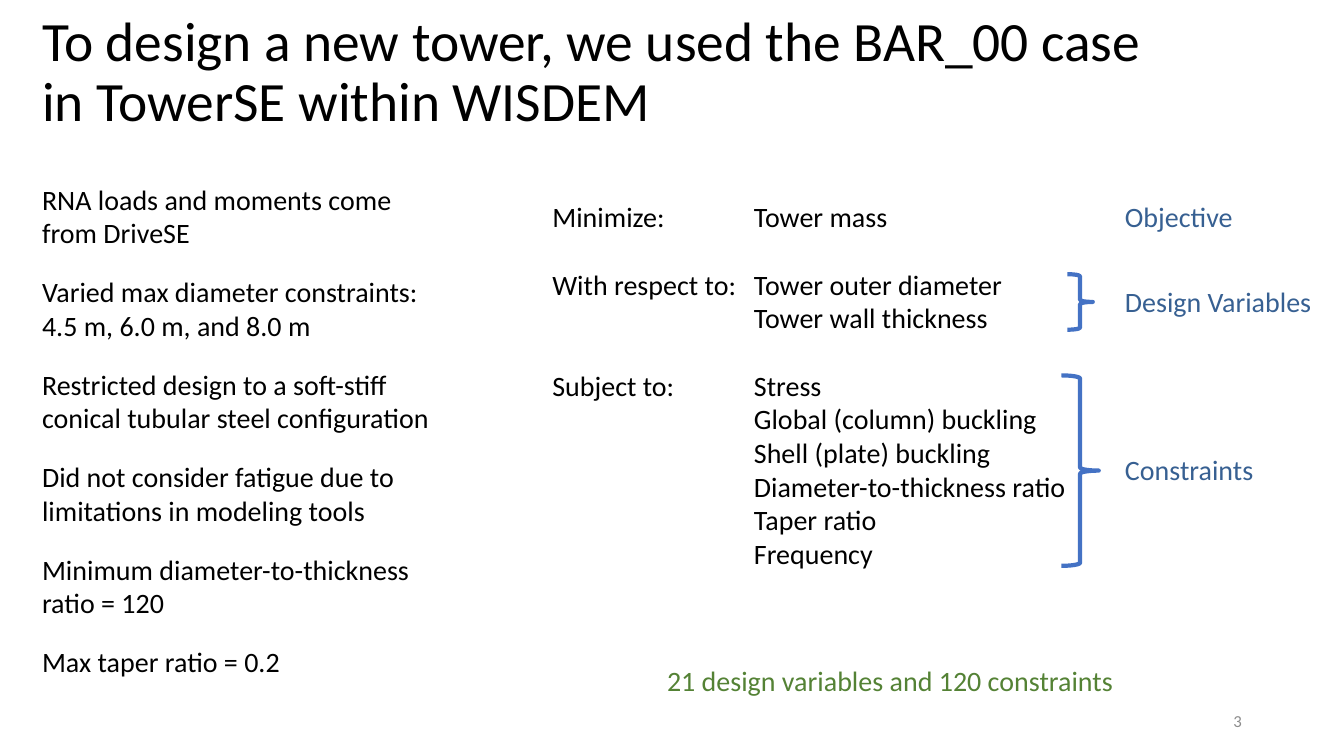
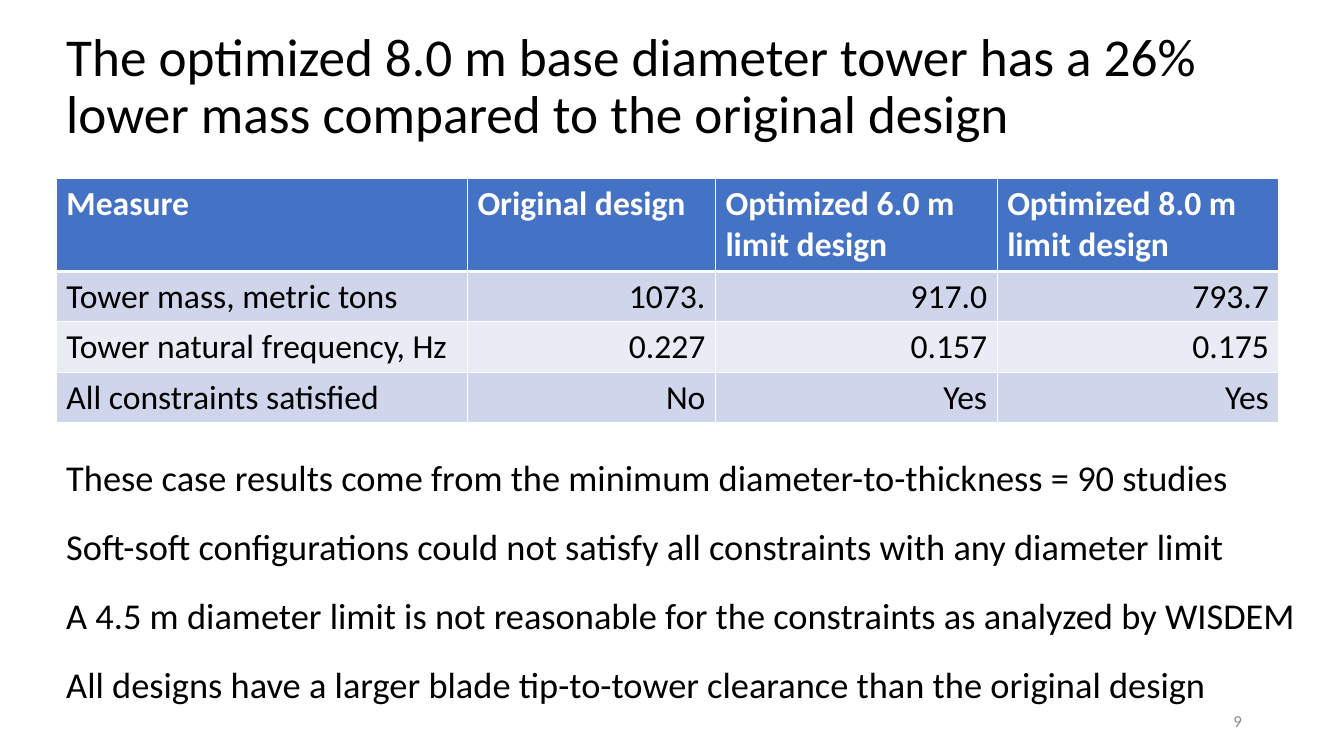
from lxml import etree
from pptx import Presentation
from pptx.dml.color import RGBColor
from pptx.enum.shapes import MSO_SHAPE
from pptx.enum.text import MSO_ANCHOR, PP_ALIGN
from pptx.oxml.ns import qn
from pptx.util import Cm, Pt

FONT = "Calibri"
COLORS = {
    "text": "000000", "white": "FFFFFF", "accent": "4472C4", "tag": "376092",
    "summary": "548235", "number": "8C8C8C", "band_dark": "CFD5EA", "band_light": "E9EBF5",
}
LINE_STEP = 0.85  # cm per line of 20 pt text


def rgb(name):
    return RGBColor.from_string(COLORS[name])


def style_paragraph(p, size, color="text", align=None, bold=False, after=0, spacing=None):
    p.alignment = align
    p.space_after = Pt(after)
    if spacing:
        p.line_spacing = spacing
    for r in p.runs:
        r.font.name = FONT
        r.font.size = Pt(size)
        r.font.bold = bold
        r.font.color.rgb = rgb(color)


def add_text(slide, box, text, size, anchor=MSO_ANCHOR.TOP, inset=True, **style):
    """Place text in box (left, top, width, height in cm); each line is a paragraph."""
    tf = slide.shapes.add_textbox(*map(Cm, box)).text_frame
    tf.word_wrap = True
    tf.vertical_anchor = anchor
    if not inset:
        tf.margin_left = tf.margin_right = tf.margin_top = tf.margin_bottom = 0
    tf.text = text
    for p in tf.paragraphs:
        style_paragraph(p, size, **style)


def add_frame(prs, title, title_box, title_size, number):
    """Start a slide with its title and slide number."""
    slide = prs.slides.add_slide(prs.slide_layouts[6])
    add_text(slide, title_box, title, title_size, MSO_ANCHOR.MIDDLE, spacing=0.9)
    add_text(slide, (23.93, 17.65, 7.62, 1.02), str(number), 12, MSO_ANCHOR.MIDDLE,
             color="number", align=PP_ALIGN.RIGHT)
    return slide


# Optimization problem: label, items, brace and tag for each group
def add_problem(slide, box, groups):
    left, top, width, _ = box
    items_left, tag_left = left + 5.08, left + 14.43
    brace_mid = left + 13.3
    for label, items, tag, brace_width in groups:
        height = len(items) * LINE_STEP
        add_text(slide, (left, top, 5.08, LINE_STEP), label, 20, inset=False)
        add_text(slide, (items_left, top, 9, height), "\n".join(items), 20, inset=False)
        add_text(slide, (tag_left, top, left + width - tag_left, height), tag, 20,
                 MSO_ANCHOR.MIDDLE, inset=False, color="tag")
        if brace_width:
            sp = slide.shapes.add_shape(
                MSO_SHAPE.RIGHT_BRACE, Cm(brace_mid - brace_width / 2), Cm(top + 0.18),
                Cm(brace_width), Cm(height - 0.3))
            sp.shadow.inherit = False
            sp.fill.background()
            sp.line.color.rgb = rgb("accent")
            sp.line.width = Pt(3)
        top += height + LINE_STEP


# Results table
def add_borders(cell, bottom):
    tcPr = cell._tc.get_or_add_tcPr()
    for i, (side, width) in enumerate((("L", 1), ("R", 1), ("T", 1), ("B", bottom))):
        ln = etree.Element(qn(f"a:ln{side}"), w=str(Pt(width)))
        fill = etree.SubElement(ln, qn("a:solidFill"))
        etree.SubElement(fill, qn("a:srgbClr"), val=COLORS["white"])
        tcPr.insert(i, ln)


def add_results(slide, box, col_widths, row_heights, rows):
    table = slide.shapes.add_table(len(rows), len(rows[0]), *map(Cm, box)).table
    for col, width in zip(table.columns, col_widths):
        col.width = Cm(width)
    for row, height in zip(table.rows, row_heights):
        row.height = Cm(height)
    for i, values in enumerate(rows):
        header = i == 0
        fill = "accent" if header else ("band_dark" if i % 2 else "band_light")
        for j, value in enumerate(values):
            cell = table.cell(i, j)
            cell.text = value
            cell.fill.solid()
            cell.fill.fore_color.rgb = rgb(fill)
            add_borders(cell, 3 if header else 1)
            style_paragraph(cell.text_frame.paragraphs[0], 24,
                            "white" if header else "text", bold=header,
                            align=PP_ALIGN.LEFT if header or j == 0 else PP_ALIGN.RIGHT)


def build_method_slide(prs):
    slide = add_frame(prs, "To design a new tower, we used the BAR_00 case\vin TowerSE within WISDEM",
                      (0.81, 0.36, 30.63, 2.97), 39.6, 3)
    assumptions = (
        "RNA loads and moments come from DriveSE",
        "Varied max diameter constraints: 4.5 m, 6.0 m, and 8.0 m",
        "Restricted design to a soft-stiff conical tubular steel configuration",
        "Did not consider fatigue due to limitations in modeling tools",
        "Minimum diameter-to-thickness ratio = 120",
        "Max taper ratio = 0.2",
    )
    add_text(slide, (0.81, 4.47, 10.31, 12.88), "\n".join(assumptions), 20, after=18)
    add_problem(slide, (13.92, 5.03, 19.8, 10.95), (
        ("Minimize:", ("Tower mass",), "Objective", None),
        ("With respect to:", ("Tower outer diameter", "Tower wall thickness"),
         "Design Variables", 0.64),
        ("Subject to:", ("Stress", "Global (column) buckling", "Shell (plate) buckling",
                         "Diameter-to-thickness ratio", "Taper ratio", "Frequency"),
         "Constraints", 0.94),
    ))
    add_text(slide, (16.56, 16.59, 13.61, 1.12), "21 design variables and 120 constraints",
             20, color="summary")


def build_results_slide(prs):
    slide = add_frame(
        prs, "The optimized 8.0 m base diameter tower has a 26% lower mass compared to the original design",
        (1.42, 1.09, 31.5, 2.24), 38, 9)
    add_results(slide, (1.42, 4.5, 30.81, 6.15), (10.36, 6.25, 7.1, 7.1),
                (2.34, 1.27, 1.27, 1.27), (
        ("Measure", "Original design", "Optimized 6.0 m limit design", "Optimized 8.0 m limit design"),
        ("Tower mass, metric tons", "1073.", "917.0", "793.7"),
        ("Tower natural frequency, Hz", "0.227", "0.157", "0.175"),
        ("All constraints satisfied", "No", "Yes", "Yes"),
    ))
    findings = (
        "These case results come from the minimum diameter-to-thickness = 90 studies",
        "Soft-soft configurations could not satisfy all constraints with any diameter limit",
        "A 4.5 m diameter limit is not reasonable for the constraints as analyzed by WISDEM",
        "All designs have a larger blade tip-to-tower clearance than the original design",
    )
    add_text(slide, (1.42, 11.35, 31.93, 6.63), "\n".join(findings), 26, after=18)


def main():
    prs = Presentation()
    prs.slide_width, prs.slide_height = Cm(33.87), Cm(19.05)
    build_method_slide(prs)
    build_results_slide(prs)
    prs.save("out.pptx")


if __name__ == "__main__":
    main()
